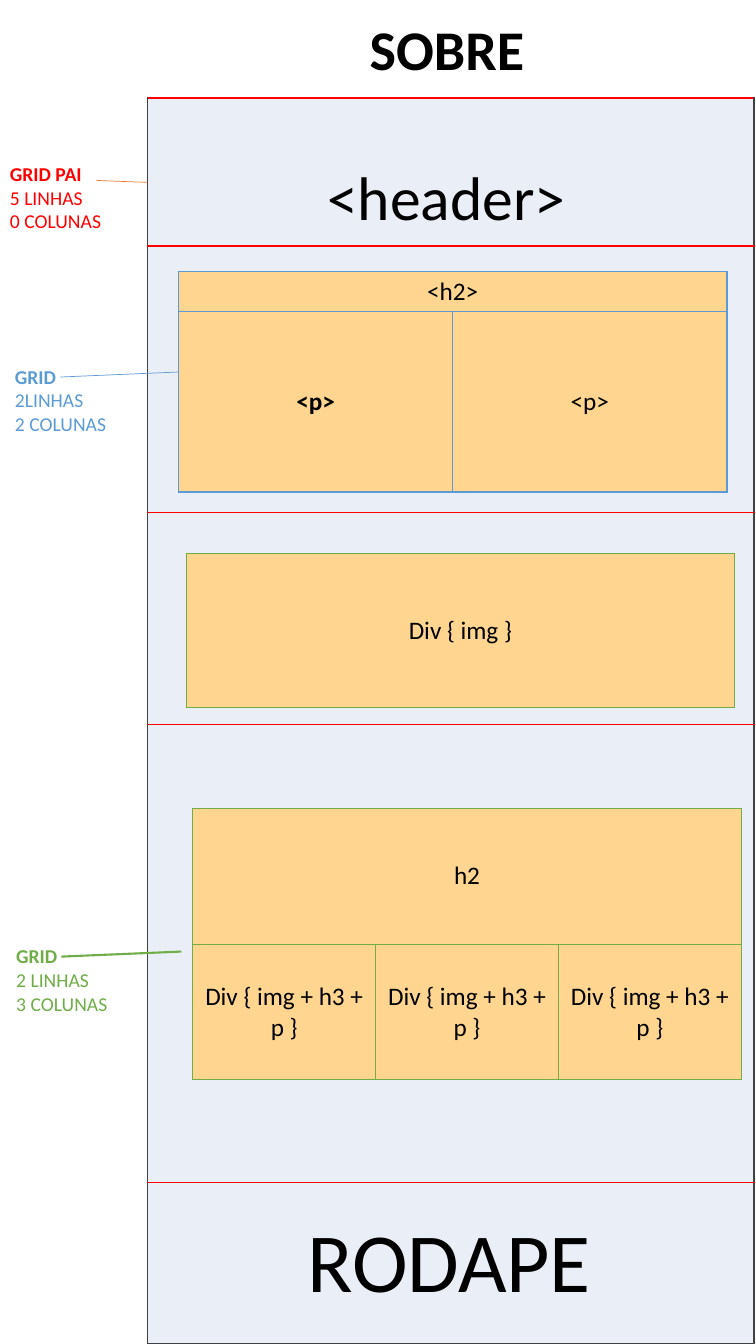
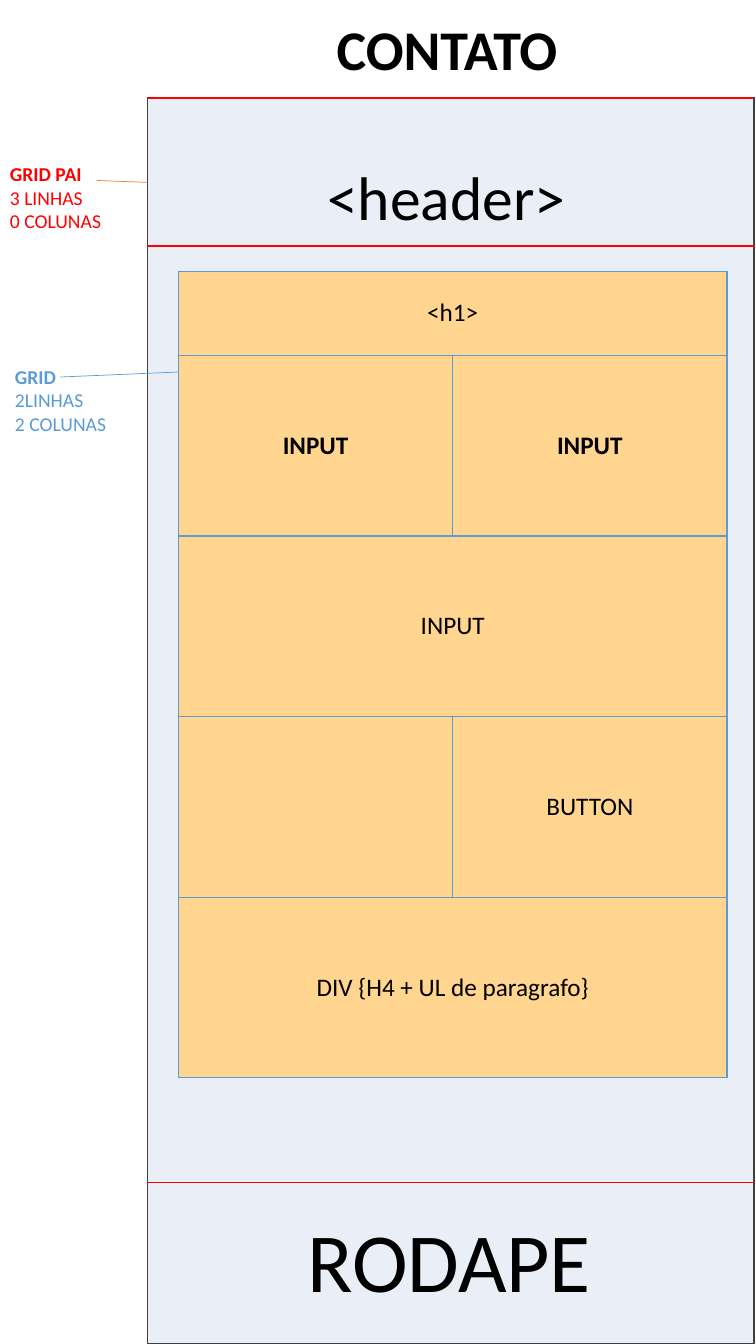
from lxml import etree
from pptx import Presentation
from pptx.dml.color import RGBColor
from pptx.enum import shapes, text
from pptx.oxml import ns
from pptx.util import Pt

FONT = "Calibri"
BLACK, EDGE, PALE, SAND = "000000", "404040", "EAEFF7", "FFD590"
RED, ORANGE, BLUE, GREEN = "FF0000", "ED7D31", "5B9BD5", "70AD47"
HEADER_ROW, FOOTER_ROW = 105.8, 115.2
GRID_WIDTH, GRID_ROW = 391.8, 129


def color(code):
    """Turn a hex string into a colour."""
    return RGBColor.from_string(code)


def write(para, words, size=18, bold=False, ink=BLACK):
    """Add one formatted span to a paragraph."""
    span = para.add_run()
    span.text = words
    span.font.name = FONT
    span.font.size = Pt(size)
    span.font.bold = bold
    span.font.color.rgb = color(ink)


def add_text(page, left, top, width, height, align=None):
    """Add a wrapping text box and return its first paragraph."""
    box = page.shapes.add_textbox(Pt(left), Pt(top), Pt(width), Pt(height))
    box.text_frame.word_wrap = True
    box.text_frame.auto_size = text.MSO_AUTO_SIZE.SHAPE_TO_FIT_TEXT
    para = box.text_frame.paragraphs[0]
    para.alignment = align
    return para


def add_line(page, start, end, ink, weight=0.5):
    """Draw a straight line without a shadow."""
    line = page.shapes.add_connector(
        shapes.MSO_CONNECTOR.STRAIGHT, *(Pt(value) for value in start + end))
    line.line.color.rgb = color(ink)
    line.line.width = Pt(weight)
    etree.SubElement(line._element.spPr, ns.qn("a:effectLst"))


def add_border(cell, side, ink):
    """Give one side (L, R, T or B) of a cell a 1 pt border."""
    properties = cell._tc.get_or_add_tcPr()
    border = etree.SubElement(properties, ns.qn("a:ln" + side), w=str(Pt(1)))
    fill = etree.SubElement(border, ns.qn("a:solidFill"))
    etree.SubElement(fill, ns.qn("a:srgbClr"), val=ink)


def add_grid(page, left, top, width, rows, ink, fill=SAND, rim=None, bold=()):
    """Add a table from (height, words) rows; a lone word spans its row.

    rim colours the left, right and bottom edges; bold lists words.
    """
    count = max(len(words) for _, words in rows)
    heights = [height for height, _ in rows]
    frame = page.shapes.add_table(
        len(rows), count, Pt(left), Pt(top), Pt(width), Pt(sum(heights)))
    table = frame.table
    table.first_row = table.horz_banding = False
    for column in table.columns:
        column.width = Pt(width / count)
    for index, (height, words) in enumerate(rows):
        table.rows[index].height = Pt(height)
        last = index == len(rows) - 1
        for cell in table.rows[index].cells:
            for side in "LRTB":
                outer = side in "LR" or (side == "B" and last)
                add_border(cell, side, rim if rim and outer else ink)
            cell.fill.solid()
            cell.fill.fore_color.rgb = color(fill)
            cell.vertical_anchor = text.MSO_ANCHOR.MIDDLE
        if len(words) < count:
            table.cell(index, 0).merge(table.cell(index, count - 1))
        for number, word in enumerate(words):
            if word:
                para = table.cell(index, number).text_frame.paragraphs[0]
                para.alignment = text.PP_ALIGN.CENTER
                write(para, word, bold=(index, number) in bold)


def add_note(page, left, top, lines, ink):
    """Add a side note whose first line is bold."""
    para = add_text(page, left, top, 96.5, 58.2)
    for index, line in enumerate(lines):
        if index:
            para.add_line_break()
        write(para, line, size=14, bold=index == 0, ink=ink)


def add_layout(deck, title, sections):
    """Add a page with the title, parent grid, header, footer and notes."""
    page = deck.slides.add_slide(deck.slide_layouts[6])
    heights = [HEADER_ROW, *sections, FOOTER_ROW]
    add_grid(page, 105.2, 70, 433.4, [(height, [""]) for height in heights],
             RED, fill=PALE, rim=EDGE)
    center = text.PP_ALIGN.CENTER
    write(add_text(page, 105.2, 110.2, 427.7, 60.5, center), "<header>", size=44)
    write(add_text(page, 208, 6.5, 222.5, 55.4, center), title, size=40, bold=True)
    write(add_text(page, 212.4, 859.7, 222.5, 79.9), "RODAPE", size=60)
    add_note(page, 0, 112.3,
             ["GRID PAI", f"{len(heights)} LINHAS", "0 COLUNAS"], RED)
    add_note(page, 3.6, 257, ["GRID", "2LINHAS", "2 COLUNAS"], BLUE)
    add_line(page, (105.2, 130.3), (69.1, 128.9), ORANGE)
    add_line(page, (128.2, 265.7), (43.2, 269.3), BLUE)
    return page


def add_about(deck):
    """Build the page about the site."""
    page = add_layout(deck, "SOBRE", [190.1, 151.9, 326.9])
    add_grid(page, 127.5, 193.7, GRID_WIDTH,
             [(24.5, ["<h2>"]), (GRID_ROW, ["<p>", "<p>"])],
             BLUE, bold=[(1, 0)])
    add_grid(page, 133, 395.3, GRID_WIDTH, [(110.2, ["Div { img }"])], GREEN)
    add_grid(page, 137.7, 577.4, GRID_WIDTH,
             [(97, ["h2"]), (97, ["Div { img + h3 + p }"] * 3)], GREEN)
    add_note(page, 4.5, 671, ["GRID", "2 LINHAS", "3 COLUNAS"], GREEN)
    add_line(page, (129.6, 679.7), (43.9, 683.3), GREEN, weight=1.5)


def add_contact(deck):
    """Build the contact page."""
    page = add_layout(deck, "CONTATO", [668.9])
    rows = [["INPUT", "INPUT"], ["INPUT"], ["", "BUTTON"],
            ["DIV {H4 + UL de paragrafo}"]]
    add_grid(page, 127.5, 193.7, GRID_WIDTH,
             [(60.2, ["<h1>"])] + [(GRID_ROW, words) for words in rows],
             BLUE, bold=[(1, 0), (1, 1)])


def main():
    """Build and save the deck."""
    deck = Presentation()
    deck.slide_width, deck.slide_height = Pt(540), Pt(960)
    add_about(deck)
    add_contact(deck)
    deck.save("out.pptx")


main()
